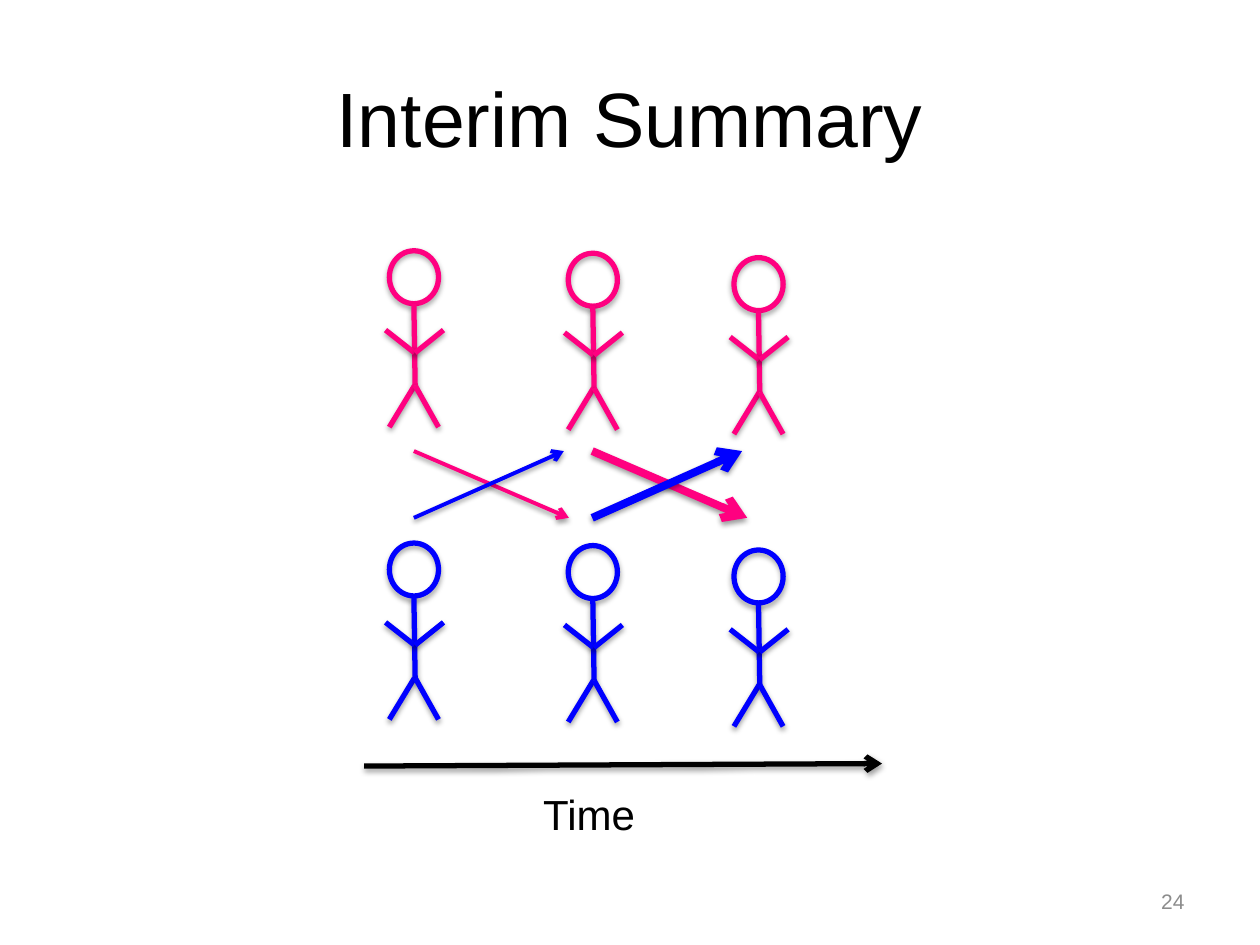
from dataclasses import dataclass

from lxml import etree
from pptx import Presentation
from pptx.dml.color import RGBColor
from pptx.enum import shapes, text
from pptx.oxml import ns
from pptx.util import Inches, Pt


@dataclass(frozen=True)
class Theme:
    font: str = "Arial"
    ink: str = "000000"
    muted: str = "8C8C8C"
    pink: str = "FF0080"
    blue: str = "0000FF"
    title_size: float = 44
    label_size: float = 24
    number_size: float = 12
    stroke: float = 3
    thin: float = 2.25
    thick: float = 4.5


@dataclass(frozen=True)
class Stroke:
    start: tuple[float, float]
    end: tuple[float, float]
    color: str
    width: float
    arrow: bool = False


@dataclass(frozen=True)
class Person:
    left: float
    top: float
    color: str


@dataclass(frozen=True)
class Label:
    wording: str
    box: tuple[float, float, float, float]
    size: float
    color: str
    align: text.PP_ALIGN
    anchor: text.MSO_ANCHOR


THEME = Theme()
HEAD = (0.39, 0.42)
LIMBS = (
    ((0.195, 0.42), (0.205, 1.07)),
    ((0.2, 1.07), (0, 1.4)),
    ((0.205, 1.07), (0.39, 1.4)),
    ((-0.03, 0.63), (0.2, 0.81)),
    ((0.205, 0.81), (0.43, 0.63)),
)
STEPS = ((3.09, 0), (4.51, 0.02), (5.825, 0.055))
ROWS = ((4.31, THEME.blue), (1.99, THEME.pink))
PEOPLE = [Person(left, top + drop, color) for left, drop in STEPS for top, color in ROWS]
UPPER, LOWER = 3.58, 4.11
EXCHANGES = ((3.285, THEME.thin), (4.7, THEME.thick))
TIMELINE = Stroke((2.89, 6.08), (7, 6.06), THEME.ink, THEME.stroke, True)
LABELS = (
    Label("24", (7.17, 6.95, 2.33, 0.4), THEME.number_size, THEME.muted,
          text.PP_ALIGN.RIGHT, text.MSO_ANCHOR.MIDDLE),
    Label("Time", (3.73, 6.21, 1.89, 0.5), THEME.label_size, THEME.ink,
          text.PP_ALIGN.CENTER, text.MSO_ANCHOR.TOP),
)


def write(frame, wording: str, size: float, color: str,
          align: text.PP_ALIGN, anchor: text.MSO_ANCHOR) -> None:
    frame.word_wrap = True
    frame.vertical_anchor = anchor
    paragraph = frame.paragraphs[0]
    paragraph.alignment = align
    run = paragraph.add_run()
    run.text = wording
    run.font.name = THEME.font
    run.font.size = Pt(size)
    run.font.color.rgb = RGBColor.from_string(color)


def style_line(line, color: str, width: float) -> None:
    line.color.rgb = RGBColor.from_string(color)
    line.width = Pt(width)


def cast_shadow(properties, distance: float, opacity: int) -> None:
    effects = properties.find(ns.qn("a:effectLst"))
    if effects is None:
        effects = etree.SubElement(properties, ns.qn("a:effectLst"))
    shadow = etree.SubElement(
        effects, ns.qn("a:outerShdw"), blurRad=str(Pt(3.1)), dist=str(Pt(distance)),
        dir="5400000", rotWithShape="0")
    shade = etree.SubElement(shadow, ns.qn("a:srgbClr"), val=THEME.ink)
    etree.SubElement(shade, ns.qn("a:alpha"), val=str(opacity * 1000))


def draw_stroke(canvas, stroke: Stroke) -> None:
    connector = canvas.add_connector(
        shapes.MSO_CONNECTOR.STRAIGHT, *map(Inches, stroke.start + stroke.end))
    style_line(connector.line, stroke.color, stroke.width)
    properties = connector._element.spPr
    if stroke.arrow:
        etree.SubElement(properties.find(ns.qn("a:ln")), ns.qn("a:tailEnd"), type="arrow")
    cast_shadow(properties, 1.6, 38)


def draw_person(canvas, person: Person) -> None:
    body = canvas.add_group_shape().shapes
    head = body.add_shape(
        shapes.MSO_SHAPE.OVAL, *map(Inches, (person.left, person.top) + HEAD))
    head.shadow.inherit = False
    head.fill.background()
    style_line(head.line, person.color, THEME.stroke)
    cast_shadow(head._element.spPr, 1.8, 35)
    for limb in LIMBS:
        start, end = ((person.left + x, person.top + y) for x, y in limb)
        draw_stroke(body, Stroke(start, end, person.color, THEME.stroke))


def draw_label(canvas, label: Label) -> None:
    box = canvas.add_textbox(*map(Inches, label.box))
    write(box.text_frame, label.wording, label.size, label.color, label.align, label.anchor)


def main() -> None:
    deck = Presentation()
    deck.slide_width, deck.slide_height = Inches(10), Inches(7.5)
    slide = deck.slides.add_slide(deck.slide_layouts[5])
    canvas = slide.shapes
    title = canvas.title
    title.left, title.top, title.width, title.height = map(Inches, (0.5, 0.3, 9, 1.25))
    write(title.text_frame, "Interim Summary", THEME.title_size, THEME.ink,
          text.PP_ALIGN.CENTER, text.MSO_ANCHOR.MIDDLE)
    for label in LABELS:
        draw_label(canvas, label)
    draw_stroke(canvas, TIMELINE)
    for person in PEOPLE:
        draw_person(canvas, person)
    for left, width in EXCHANGES:
        draw_stroke(canvas, Stroke((left, UPPER), (left + 1.23, LOWER), THEME.pink, width, True))
        draw_stroke(canvas, Stroke((left, LOWER), (left + 1.19, UPPER), THEME.blue, width, True))
    deck.save("out.pptx")


if __name__ == "__main__":
    main()
